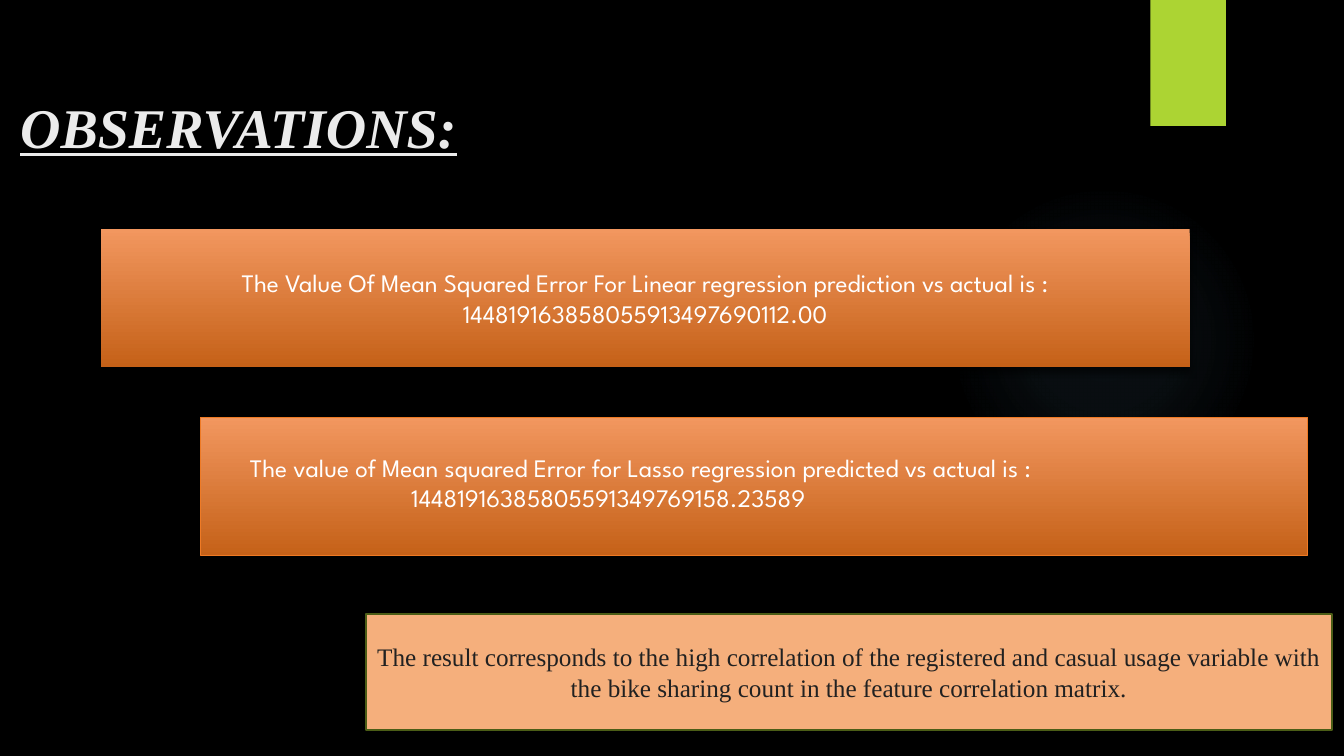
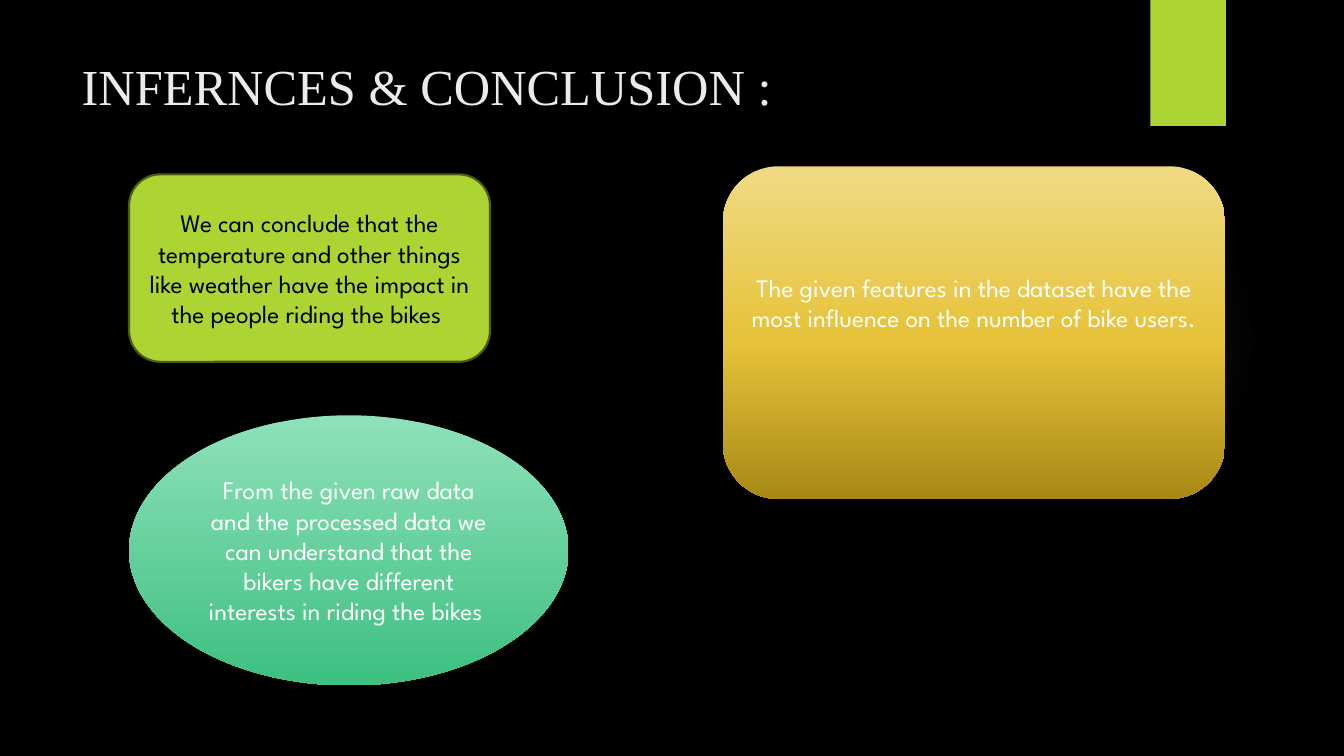
import pptx
import pptx.dml.color
import pptx.enum.shapes
import pptx.enum.text
import pptx.oxml
import pptx.oxml.ns
import pptx.util
from lxml import etree

Inches = pptx.util.Inches
RGBColor = pptx.dml.color.RGBColor
Shape = pptx.enum.shapes.MSO_SHAPE
Anchor = pptx.enum.text.MSO_ANCHOR
Align = pptx.enum.text.PP_ALIGN

BLACK = RGBColor(0x00, 0x00, 0x00)
WHITE = RGBColor(0xFF, 0xFF, 0xFF)
TITLE_GREY = RGBColor(0xEB, 0xEB, 0xEB)
DARK_TEXT = RGBColor(0x21, 0x21, 0x21)
LIME = RGBColor(0xAC, 0xD4, 0x33)
OLIVE = RGBColor(0x4B, 0x5D, 0x16)
ORANGE = RGBColor(0xEF, 0x7A, 0x24)
PEACH = RGBColor(0xF5, 0xAF, 0x7C)
GLOW_BLUE = RGBColor(0x7A, 0xC4, 0xF0)

ORANGE_STOPS = [(0, RGBColor(0xF2, 0x97, 0x5F), 100), (100, RGBColor(0xC5, 0x61, 0x18), 100)]
GREEN_STOPS = [(0, RGBColor(0x8F, 0xE1, 0xB9), 100), (100, RGBColor(0x3D, 0xC0, 0x81), 100)]
GOLD_STOPS = [(0, RGBColor(0xF0, 0xDA, 0x85), 100), (52, RGBColor(0xE7, 0xC3, 0x39), 100),
              (100, RGBColor(0xA8, 0x89, 0x15), 100)]
GLOW_STOPS = [(0, GLOW_BLUE, 7), (36, GLOW_BLUE, 6), (69, GLOW_BLUE, 0)]

SOFT_SHADOW = (45, 3, 2)
DEEP_SHADOW = (60, 5, 3)

SANS = "League Spartan"
SERIF = "Times New Roman"
BODY_SIZE = 18
TITLE_ONLY = 5


def set_gradient(shape, stops, radial=False):
    """Fill a shape with stops of (position, colour, opacity), downwards or from the centre."""
    stop_xml = "".join(
        f'<a:gs pos="{position * 1000}"><a:srgbClr val="{colour}">'
        f'<a:alpha val="{opacity * 1000}"/></a:srgbClr></a:gs>'
        for position, colour, opacity in stops)
    direction = '<a:lin ang="5400000" scaled="0"/>'
    if radial:
        direction = ('<a:path path="circle"><a:fillToRect l="50000" t="50000" '
                     'r="50000" b="50000"/></a:path>')
    gradient = pptx.oxml.parse_xml(
        f'<a:gradFill {pptx.oxml.ns.nsdecls("a")} rotWithShape="1">'
        f'<a:gsLst>{stop_xml}</a:gsLst>{direction}</a:gradFill>')
    shape.element.spPr.find(pptx.oxml.ns.qn("a:prstGeom")).addnext(gradient)


def set_shadow(shape, opacity, blur, distance):
    """Give a shape a black shadow straight below it."""
    qn = pptx.oxml.ns.qn
    effects = shape.element.spPr.find(qn("a:effectLst"))
    shadow = etree.SubElement(
        effects, qn("a:outerShdw"), blurRad=str(pptx.util.Pt(blur)),
        dist=str(pptx.util.Pt(distance)), dir="5400000", rotWithShape="0")
    colour = etree.SubElement(shadow, qn("a:srgbClr"), val=str(BLACK))
    etree.SubElement(colour, qn("a:alpha"), val=str(opacity * 1000))


def add_panel(slide, kind, box, fill, line=None, shadow=None, radial=False):
    """Add a shape with a solid or gradient fill, and an optional (colour, width) line."""
    shape = slide.shapes.add_shape(kind, *map(Inches, box))
    shape.shadow.inherit = False
    if isinstance(fill, RGBColor):
        shape.fill.solid()
        shape.fill.fore_color.rgb = fill
    else:
        set_gradient(shape, fill, radial)
    if line:
        shape.line.color.rgb = line[0]
        shape.line.width = pptx.util.Pt(line[1])
    else:
        shape.line.fill.background()
    if shadow:
        set_shadow(shape, *shadow)
    return shape


def write_text(shape, texts, font=SANS, size=BODY_SIZE, colour=WHITE,
               align=Align.CENTER, anchor=Anchor.MIDDLE, emphasis=False):
    """Write one paragraph for each text and return the paragraphs."""
    frame = shape.text_frame
    frame.word_wrap = True
    frame.auto_size = pptx.enum.text.MSO_AUTO_SIZE.NONE
    frame.vertical_anchor = anchor
    for index, text in enumerate(texts):
        paragraph = frame.add_paragraph() if index else frame.paragraphs[0]
        paragraph.alignment = align
        run = paragraph.add_run()
        run.text = text
        run.font.name = font
        run.font.size = pptx.util.Pt(size)
        run.font.color.rgb = colour
        if emphasis:
            run.font.bold = run.font.italic = run.font.underline = True
    return frame.paragraphs


def add_titled_slide(presentation, title, box, size, anchor, emphasis=False):
    """Add a slide with the shared glow, lime tab and title style."""
    slide = presentation.slides.add_slide(presentation.slide_layouts[TITLE_ONLY])
    add_panel(slide, Shape.OVAL, (9.41, 1.83, 3.08, 3.08), GLOW_STOPS, radial=True)
    add_panel(slide, Shape.RECTANGLE, (11.41, 0, 0.75, 1.25), LIME, shadow=SOFT_SHADOW)
    placeholder = slide.shapes.title
    placeholder.left, placeholder.top, placeholder.width, placeholder.height = map(Inches, box)
    write_text(placeholder, [title], SERIF, size, TITLE_GREY, Align.LEFT, anchor, emphasis)
    return slide


def add_lasso_banner(slide, box):
    """Add the Lasso banner with its left-aligned text and indented value."""
    left, top, width, height = box
    add_panel(slide, Shape.RECTANGLE, box, ORANGE_STOPS, (ORANGE, 0.75), SOFT_SHADOW)
    text_box = slide.shapes.add_textbox(
        Inches(left + 0.39), Inches(top + 0.3), Inches(width - 0.59), Inches(0.71))
    paragraphs = write_text(text_box, [
        "The value of Mean squared Error for Lasso regression predicted vs actual is :",
        "14481916385805591349769158.23589",
    ], align=Align.LEFT, anchor=Anchor.TOP)
    paragraphs[1]._p.get_or_add_pPr().set("marL", str(Inches(1.6)))


def build_observations(presentation):
    """Build the slide of error values and their reading."""
    slide = add_titled_slide(presentation, "OBSERVATIONS:", (0.1, 0.26, 8.9, 1.37),
                             40, Anchor.BOTTOM, emphasis=True)
    linear_banner = add_panel(slide, Shape.RECTANGLE, (1, 2.27, 10.8, 1.37),
                              ORANGE_STOPS, shadow=DEEP_SHADOW)
    write_text(linear_banner, [
        "The Value Of Mean Squared Error For Linear regression prediction vs actual is :",
        "144819163858055913497690112.00",
    ])
    add_lasso_banner(slide, (1.99, 4.14, 10.98, 1.37))
    result = add_panel(slide, Shape.RECTANGLE, (3.63, 6.09, 9.58, 1.15), PEACH, (OLIVE, 1.5))
    write_text(result, [
        "The result corresponds to the high correlation of the registered and casual usage "
        "variable with the bike sharing count in the feature correlation matrix.",
    ], font=SERIF, colour=DARK_TEXT)


def build_conclusion(presentation):
    """Build the slide of three conclusions."""
    slide = add_titled_slide(presentation, "INFERNCES & CONCLUSION :",
                             (0.71, 0.5, 10.29, 1.53), 36, Anchor.TOP)
    weather = add_panel(slide, Shape.ROUNDED_RECTANGLE, (1.28, 1.73, 3.58, 1.86),
                        LIME, (OLIVE, 1.5))
    write_text(weather, [
        "We can conclude that the temperature and other things like weather have the impact "
        "in the people riding the bikes ",
    ], colour=BLACK)
    interests = add_panel(slide, Shape.OVAL, (1.28, 4.12, 4.36, 2.68),
                          GREEN_STOPS, shadow=DEEP_SHADOW)
    write_text(interests, [
        "From the given raw data and the processed data we can understand that the bikers "
        "have different interests in riding the bikes ",
    ])
    features = add_panel(slide, Shape.ROUNDED_RECTANGLE, (7.17, 1.65, 4.98, 3.3), GOLD_STOPS)
    write_text(features, [
        "The given features in the dataset have the most influence on the number of bike users.",
    ])
    features.text_frame.margin_bottom = Inches(0.65)


def main():
    """Build and save the presentation."""
    presentation = pptx.Presentation()
    presentation.slide_width = Inches(13.33)
    presentation.slide_height = Inches(7.5)
    background = presentation.slide_master.background.fill
    background.solid()
    background.fore_color.rgb = BLACK
    build_observations(presentation)
    build_conclusion(presentation)
    presentation.save("out.pptx")


if __name__ == "__main__":
    main()
